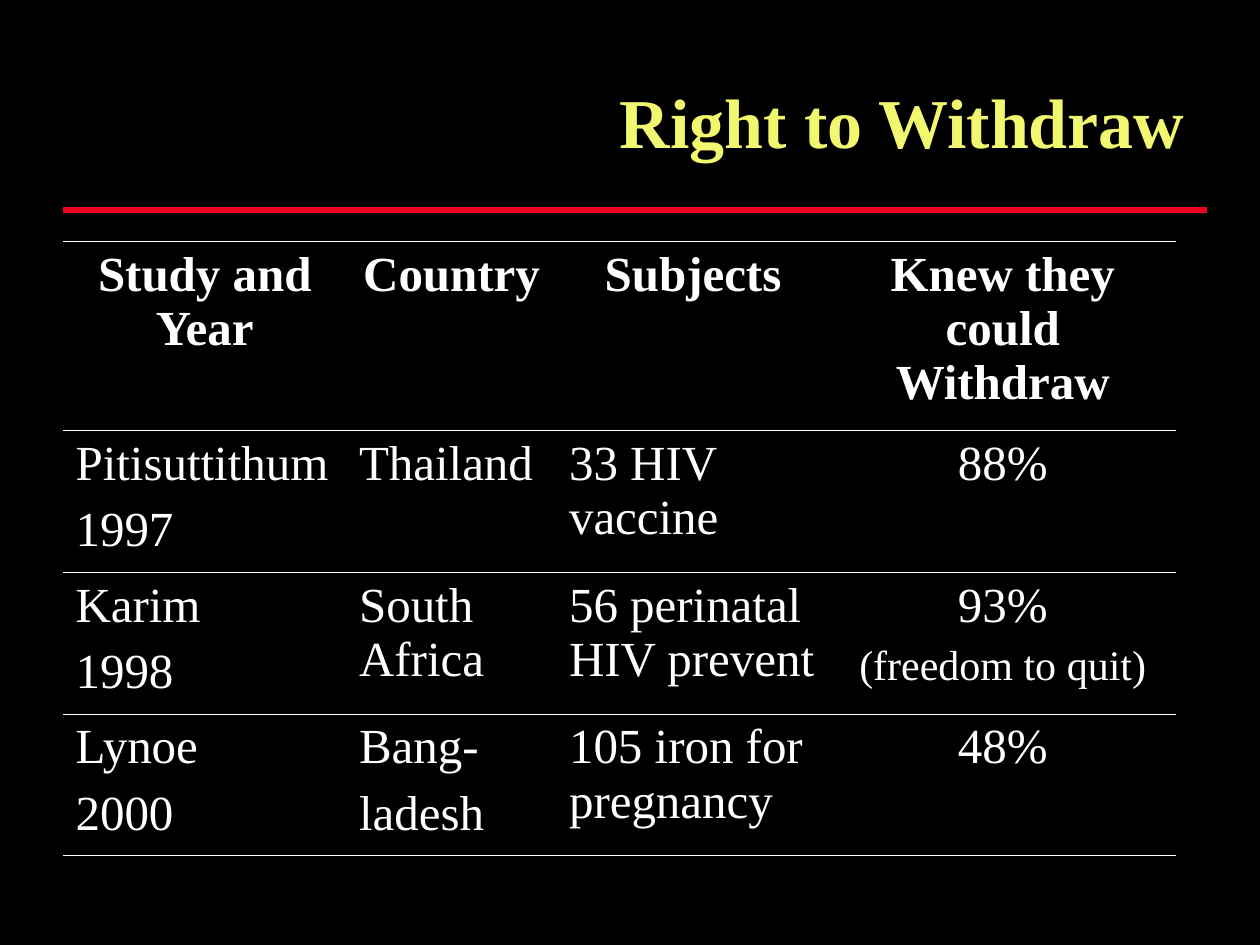
from pptx import Presentation
from pptx.dml.color import RGBColor
from pptx.enum.shapes import MSO_CONNECTOR as Link
from pptx.enum.text import MSO_ANCHOR as Anchor, PP_ALIGN as Align
from pptx.oxml import parse_xml
from pptx.oxml.ns import nsdecls
from pptx.util import Inches, Pt

FONT = "Times New Roman"
WHITE, BLACK, RED, YELLOW = "FFFFFF", "000000", "ED031F", "F1F76F"
COLS = [27, 20, 26, 33]
ROWS = [18, 13.5, 13.5, 13.5]
HEAD = ["Study and Year", "Country", "Subjects", "Knew they could Withdraw"]
STUDIES = [
    [["Pitisuttithum", "1997"], ["Thailand"], ["33 HIV vaccine"], ["88%"]],
    [["Karim", "1998"], ["South Africa"], ["56 perinatal HIV prevent"],
     ["93%", "(freedom to quit)"]],
    [["Lynoe", "2000"], ["Bang-", "ladesh"], ["105 iron for pregnancy"], ["48%"]],
]


def grid(units):
    """Turn grid units, twelve to the inch, into a length."""
    return Inches(units / 12)


def color(code):
    """Turn a hex string into a colour."""
    return RGBColor.from_string(code)


def write(para, text, size, code=WHITE, bold=False, align=Align.LEFT):
    """Add one styled run to a paragraph."""
    para.alignment = align
    run = para.add_run()
    run.text = text
    font = run.font
    font.name, font.size, font.bold = FONT, Pt(size), bold
    font.color.rgb = color(code)


def add_title(slide, box, text):
    """Place the right-aligned title in its box."""
    title = slide.shapes.title
    title.left, title.top, title.width, title.height = map(grid, box)
    frame = title.text_frame
    frame.word_wrap = True
    frame.vertical_anchor = Anchor.MIDDLE
    write(frame.paragraphs[0], text, 40, YELLOW, True, Align.RIGHT)


def add_rule(slide, left, top, width):
    """Draw the red line under the title."""
    ends = map(grid, (left, top, left + width, top))
    rule = slide.shapes.add_connector(Link.STRAIGHT, *ends)
    rule.line.color.rgb = color(RED)
    rule.line.width = Pt(3)
    rule._element.spPr.append(parse_xml(f"<a:effectLst {nsdecls('a')}/>"))


def frame_cell(cell):
    """Give a cell thin lines above and below, and no fill."""
    props = cell._tc.get_or_add_tcPr()
    solid = f'<a:solidFill><a:srgbClr val="{WHITE}"/></a:solidFill>'
    for side in "LRTB":
        paint = solid if side in "TB" else "<a:noFill/>"
        props.append(parse_xml(
            f'<a:ln{side} {nsdecls("a")} w="{Pt(0.45)}">{paint}</a:ln{side}>'))
    cell.fill.background()


def fill_cell(cell, lines, bold, align):
    """Write the lines of a cell, one paragraph each."""
    frame_cell(cell)
    frame = cell.text_frame
    for i, text in enumerate(lines):
        para = frame.add_paragraph() if i else frame.paragraphs[0]
        note = text.startswith("(")
        if i:
            para.space_before = Pt(6 if note else 7)
        write(para, text, 24 if note else 28, WHITE, bold, align)


def add_studies(slide, left, top):
    """Build the table of studies from its top left corner."""
    box = map(grid, (left, top, sum(COLS), sum(ROWS)))
    table = slide.shapes.add_table(len(ROWS), len(COLS), *box).table
    table.first_row = table.horz_banding = False
    for col, width in zip(table.columns, COLS):
        col.width = grid(width)
    for row, height in zip(table.rows, ROWS):
        row.height = grid(height)
    data = [[[name] for name in HEAD]] + STUDIES
    for r, line in enumerate(data):
        for c, lines in enumerate(line):
            mid = r == 0 or c == len(COLS) - 1
            align = Align.CENTER if mid else Align.LEFT
            fill_cell(table.cell(r, c), lines, r == 0, align)


def main():
    """Build and save the slide."""
    deck = Presentation()
    deck.slide_width, deck.slide_height = grid(120), grid(90)
    slide = deck.slides.add_slide(deck.slide_layouts[5])
    back = slide.background.fill
    back.solid()
    back.fore_color.rgb = color(BLACK)
    add_rule(slide, 6, 20, 109)
    add_title(slide, (6, 4, 108, 15), "Right to Withdraw")
    add_studies(slide, 6, 23)
    deck.save("out.pptx")


if __name__ == "__main__":
    main()
